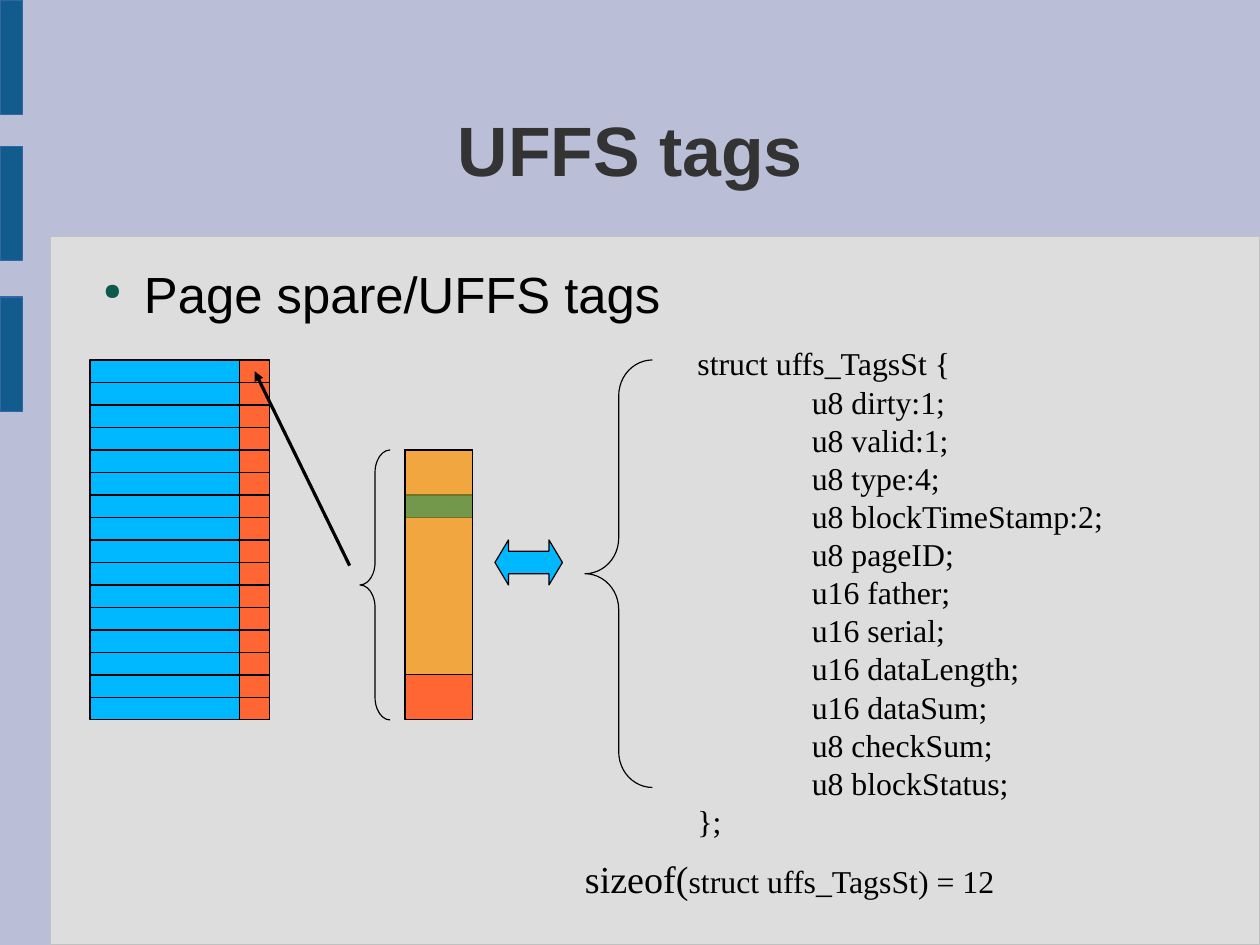
"""Build the UFFS tags slide: flash pages, their spare area and the tag struct."""
from lxml import etree
from pptx import Presentation
from pptx import util as u
from pptx.dml.color import RGBColor
from pptx.enum import shapes, text
from pptx.oxml.ns import qn

COLORS = {
    "background": "BABED6", "panel": "DDDDDD", "panel edge": "C0C0C0",
    "bar": "125C8D", "bar edge": "3465A4", "title": "333333",
    "ink": "000000", "bullet": "0E594D", "data": "00B8FF",
    "spare": "FF6633", "status": "004A4A", "tags": "E6E64C",
}
SANS, SERIF = "Arial", "Times New Roman"
PAGES = 16
PAGE_HEIGHT = 0.5
FIELDS = [
    "u8 dirty:1;", "u8 valid:1;", "u8 type:4;", "u8 blockTimeStamp:2;",
    "u8 pageID;", "u16 father;", "u16 serial;", "u16 dataLength;",
    "u16 dataSum;", "u8 checkSum;", "u8 blockStatus;",
]


def rgb(name):
    return RGBColor.from_string(COLORS[name])


def cm(*lengths):
    return [u.Cm(length) for length in lengths]


def add_block(slide, kind, box, fill=None, edge="ink", adjust=()):
    block = slide.shapes.add_shape(kind, *cm(*box))
    block.shadow.inherit = False
    if fill:
        block.fill.solid()
        block.fill.fore_color.rgb = rgb(fill)
    else:
        block.fill.background()
    block.line.color.rgb = rgb(edge)
    block.line.width = u.Pt(0)
    for index, value in enumerate(adjust):
        block.adjustments[index] = value
    return block


def add_rect(slide, box, fill, edge="ink"):
    return add_block(slide, shapes.MSO_SHAPE.RECTANGLE, box, fill, edge)


def add_brace(slide, box, curve):
    add_block(slide, shapes.MSO_SHAPE.LEFT_BRACE, box, adjust=(curve, 0.5))


def make_translucent(block, percent):
    color = block.fill._xPr.find(qn("a:solidFill")).find(qn("a:srgbClr"))
    etree.SubElement(color, qn("a:alpha"), val=str(percent * 1000))


def add_arrow(slide, start, end):
    arrow = slide.shapes.add_connector(
        shapes.MSO_CONNECTOR.STRAIGHT, *cm(*start, *end))
    arrow.line.color.rgb = rgb("ink")
    arrow.line.width = u.Pt(0)
    properties = arrow._element.spPr
    etree.SubElement(properties.find(qn("a:ln")), qn("a:tailEnd"), type="triangle")
    etree.SubElement(properties, qn("a:effectLst"))


def clear_margins(frame):
    frame.word_wrap = True
    frame.auto_size = text.MSO_AUTO_SIZE.NONE
    frame.margin_left = frame.margin_right = 0
    frame.margin_top = frame.margin_bottom = 0


def add_text(slide, box):
    frame = slide.shapes.add_textbox(*cm(*box)).text_frame
    clear_margins(frame)
    return frame


def add_run(paragraph, words, size, font, color="ink", bold=False):
    run = paragraph.add_run()
    run.text = words
    run.font.size = u.Pt(size)
    run.font.name = font
    run.font.bold = bold
    run.font.color.rgb = rgb(color)


def indent(paragraph, left, first=0):
    properties = paragraph._p.get_or_add_pPr()
    properties.set("marL", str(u.Cm(left)))
    properties.set("indent", str(u.Cm(first)))
    return properties


def add_title(slide, words):
    title = slide.shapes.title
    title.left, title.top, title.width, title.height = cm(2.06, 1.55, 23.9, 3.5)
    frame = title.text_frame
    clear_margins(frame)
    frame.vertical_anchor = text.MSO_ANCHOR.MIDDLE
    heading = frame.paragraphs[0]
    heading.alignment = text.PP_ALIGN.CENTER
    add_run(heading, words, 44, SANS, "title", True)


def add_bullet(slide, words):
    topic = add_text(slide, (2, 5.84, 25, 1.65)).paragraphs[0]
    properties = indent(topic, 1.2, -0.9)
    bullet_color = etree.SubElement(properties, qn("a:buClr"))
    etree.SubElement(bullet_color, qn("a:srgbClr"), val=COLORS["bullet"])
    etree.SubElement(properties, qn("a:buSzPct"), val="45000")
    etree.SubElement(properties, qn("a:buChar"), char="●")
    add_run(topic, words, 32, SANS)


def add_backdrop(slide):
    slide.background.fill.solid()
    slide.background.fill.fore_color.rgb = rgb("background")
    add_rect(slide, (1.12, 5.26, 26.88, 15.74), "panel", "panel edge")
    for top in (0, 3.25, 6.6):
        add_rect(slide, (0, top, 0.5, 2.54), "bar", "bar edge")


def add_pages(slide):
    for page in range(PAGES):
        top = 8 + page * PAGE_HEIGHT
        add_rect(slide, (2, top, 3.33, PAGE_HEIGHT), "data")
        add_rect(slide, (5.33, top, 0.67, PAGE_HEIGHT), "spare")


def add_spare(slide):
    add_arrow(slide, (7.77, 12.57), (5.66, 8.25))
    add_brace(slide, (8, 10, 0.67, 6), 0.75)
    add_rect(slide, (9, 10, 1.5, 6), "spare")
    add_rect(slide, (9, 11, 1.5, 0.5), "status")
    make_translucent(add_rect(slide, (9, 10, 1.5, 5), "tags"), 50)
    add_block(slide, shapes.MSO_SHAPE.LEFT_RIGHT_ARROW, (11, 12, 1.5, 1),
              "data", adjust=(0.5, 0.3))


def add_struct(slide):
    add_brace(slide, (13, 8, 1.5, 9.5), 0.53)
    frame = add_text(slide, (15.5, 7.65, 9.5, 12.55))
    for number, code in enumerate(["struct uffs_TagsSt {", *FIELDS, "};"]):
        line = frame.add_paragraph() if number else frame.paragraphs[0]
        line.line_spacing = u.Pt(24)
        if code in FIELDS:
            indent(line, 2.54)
        add_run(line, code, 20, SERIF)
    size = add_text(slide, (13, 19, 12, 1.17)).paragraphs[0]
    add_run(size, "sizeof(", 24, SERIF)
    add_run(size, "struct uffs_TagsSt) = 12", 20, SERIF)


def main():
    deck = Presentation()
    deck.slide_width, deck.slide_height = cm(28, 21)
    slide = deck.slides.add_slide(deck.slide_layouts[5])
    add_backdrop(slide)
    add_title(slide, "UFFS tags")
    add_bullet(slide, "Page spare/UFFS tags")
    add_pages(slide)
    add_spare(slide)
    add_struct(slide)
    deck.save("out.pptx")


if __name__ == "__main__":
    main()
